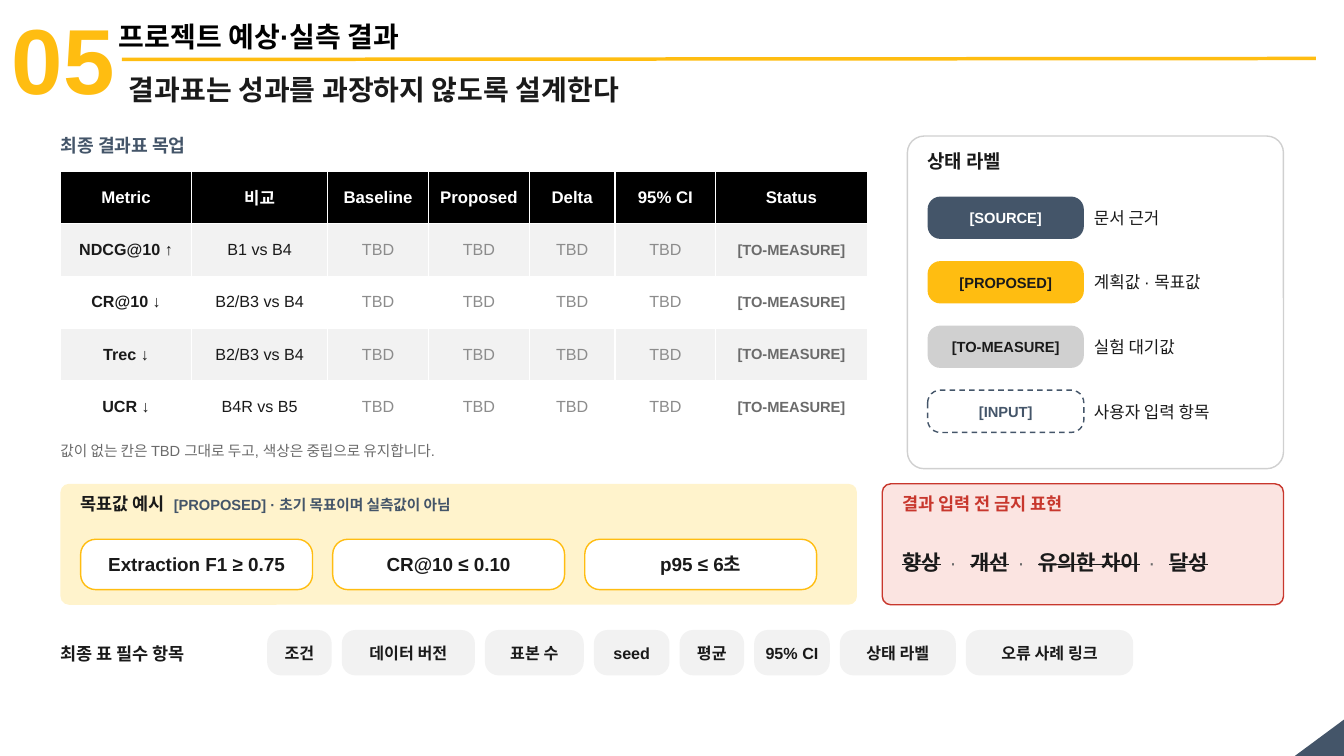
import lxml.etree
import pptx
import pptx.dml.color
import pptx.enum.dml
import pptx.enum.shapes
import pptx.enum.text
import pptx.oxml
import pptx.oxml.ns
import pptx.util

Inches = pptx.util.Inches
RGBColor = pptx.dml.color.RGBColor
SHAPES = pptx.enum.shapes.MSO_SHAPE
ANCHOR = pptx.enum.text.MSO_ANCHOR
ALIGN = pptx.enum.text.PP_ALIGN

YELLOW = RGBColor(0xFF, 0xBD, 0x11)
CREAM = RGBColor(0xFF, 0xF3, 0xCC)
SLATE = RGBColor(0x44, 0x55, 0x69)
RED = RGBColor(0xC8, 0x37, 0x2D)
PINK = RGBColor(0xFB, 0xE4, 0xE1)
BLACK = RGBColor(0x00, 0x00, 0x00)
INK = RGBColor(0x1A, 0x1A, 0x1A)
WHITE = RGBColor(0xFF, 0xFF, 0xFF)
PALE = RGBColor(0xF2, 0xF2, 0xF2)
SILVER = RGBColor(0xD0, 0xD0, 0xD0)
GRAY = RGBColor(0x6B, 0x6B, 0x6B)
MUTED = RGBColor(0x8C, 0x8C, 0x8C)

LABEL_INSETS = (0, 0.03)
BADGE_INSETS = (0.04, 0.03)
HEADING_INSETS = (0.1, 0.05)

METRICS = [
    ("NDCG@10 ↑", "B1 vs B4"),
    ("CR@10 ↓", "B2/B3 vs B4"),
    ("Trec ↓", "B2/B3 vs B4"),
    ("UCR ↓", "B4R vs B5"),
]
STATUSES = [
    ("[SOURCE]", "문서 근거", SLATE, WHITE, None),
    ("[PROPOSED]", "계획값 · 목표값", YELLOW, INK, None),
    ("[TO-MEASURE]", "실험 대기값", SILVER, INK, None),
    ("[INPUT]", "사용자 입력 항목", WHITE, SLATE, SLATE),
]
TARGETS = ["Extraction F1 ≥ 0.75", "CR@10 ≤ 0.10", "p95 ≤ 6초"]
BANNED = ["향상", "개선", "유의한 차이", "달성"]
REQUIRED = [
    ("조건", 0.64), ("데이터 버전", 1.32), ("표본 수", 0.98), ("seed", 0.75),
    ("평균", 0.64), ("95% CI", 0.75), ("상태 라벨", 1.15), ("오류 사례 링크", 1.66),
]


def style(size, color=INK, bold=True, **extra):
    return {"name": "Arial", "size": pptx.util.Pt(size), "bold": bold, "color": color, **extra}


def add_span(para, text, look):
    """Adds a run; "strike" and "spc" go straight to its XML properties."""
    span = para.add_run()
    span.text = text
    for name, value in look.items():
        if name == "color":
            span.font.color.rgb = value
        elif name in ("strike", "spc"):
            span._r.get_or_add_rPr().set(name, value)
        else:
            setattr(span.font, name, value)


def fill_frame(frame, spans, insets, anchor=ANCHOR.TOP, align=ALIGN.LEFT):
    side, end = map(Inches, insets)
    settings = {
        "word_wrap": True, "vertical_anchor": anchor,
        "auto_size": pptx.enum.text.MSO_AUTO_SIZE.NONE,
        "margin_left": side, "margin_right": side, "margin_top": end, "margin_bottom": end,
    }
    for name, value in settings.items():
        setattr(frame, name, value)
    para = frame.paragraphs[0]
    para.alignment = align
    for text, look in spans:
        add_span(para, text, look)


def add_label(page, place, spans, insets=LABEL_INSETS, anchor=ANCHOR.TOP):
    box = page.shapes.add_textbox(*map(Inches, place))
    fill_frame(box.text_frame, spans, insets, anchor)


def add_panel(page, place, fill, line=None, rounding=0.3, kind=SHAPES.ROUNDED_RECTANGLE):
    panel = page.shapes.add_shape(kind, *map(Inches, place))
    panel.shadow.inherit = False
    panel.fill.solid()
    panel.fill.fore_color.rgb = fill
    if kind == SHAPES.ROUNDED_RECTANGLE:
        panel.adjustments[0] = rounding
    if line is None:
        panel.line.fill.background()
    else:
        panel.line.color.rgb = line
        panel.line.width = pptx.util.Pt(1)
    return panel


def add_badge(page, place, text, look, fill, line=None):
    badge = add_panel(page, place, fill, line)
    fill_frame(badge.text_frame, [(text, look)], BADGE_INSETS, ANCHOR.MIDDLE, ALIGN.CENTER)
    return badge


def add_rule(page, start, end):
    rule = page.shapes.add_connector(
        pptx.enum.shapes.MSO_CONNECTOR.STRAIGHT, *map(Inches, start + end))
    rule.line.color.rgb = YELLOW
    rule.line.width = pptx.util.Pt(2.5)
    lxml.etree.SubElement(rule._element.spPr, pptx.oxml.ns.qn("a:effectLst"))


def border_cell(cell):
    properties = cell._tc.get_or_add_tcPr()
    for position, side in enumerate(("lnL", "lnR", "lnT", "lnB")):
        properties.insert(position, pptx.oxml.parse_xml(
            f'<a:{side} {pptx.oxml.ns.nsdecls("a")} w="12700"><a:solidFill>'
            f'<a:srgbClr val="{WHITE}"/></a:solidFill></a:{side}>'))


def add_results_table(page):
    headers = ["Metric", "비교", "Baseline", "Proposed", "Delta", "95% CI", "Status"]
    widths = [1.3, 1.35, 1, 1, 0.85, 1, 1.5]
    rows = [headers] + [[*metric, *["TBD"] * 4, "[TO-MEASURE]"] for metric in METRICS]
    body_looks = [style(11.5), style(11.5, bold=False),
                  *[style(11.5, MUTED, False)] * 4, style(10.5, GRAY)]
    table = page.shapes.add_table(
        len(rows), len(headers), *map(Inches, (0.6, 1.7, 8, 2.6))).table
    for column, width in zip(table.columns, widths):
        column.width = Inches(width)
    for index, texts in enumerate(rows):
        table.rows[index].height = Inches(0.52)
        looks = body_looks if index else [style(12, WHITE)] * len(headers)
        fill = (PALE if index % 2 else WHITE) if index else BLACK
        for cell, text, look in zip(table.rows[index].cells, texts, looks):
            cell.fill.solid()
            cell.fill.fore_color.rgb = fill
            cell.vertical_anchor = ANCHOR.MIDDLE
            para = cell.text_frame.paragraphs[0]
            para.alignment = ALIGN.CENTER
            add_span(para, text, look)
            border_cell(cell)


def add_heading(page):
    corner = add_panel(page, (12.9, 7.07, 0.37, 0.5), SLATE, kind=SHAPES.RIGHT_TRIANGLE)
    corner.rotation = 270
    add_label(page, (0.02, -0.03, 1.27, 1.21), [("05", style(66, YELLOW))], HEADING_INSETS)
    title = page.shapes.title
    title.left, title.top, title.width, title.height = map(Inches, (1.08, 0.14, 7, 0.44))
    fill_frame(title.text_frame, [("프로젝트 예상·실측 결과", style(20, BLACK))], HEADING_INSETS)
    add_rule(page, (1.21, 0.59), (13.05, 0.58))
    add_label(page, (1.18, 0.67, 11.9, 0.34),
              [("결과표는 성과를 과장하지 않도록 설계한다", style(20))], HEADING_INSETS)


def add_status_legend(page):
    add_panel(page, (9, 1.35, 3.73, 3.3), WHITE, SILVER, 0.05)
    add_label(page, (9.2, 1.45, 3.4, 0.35), [("상태 라벨", style(13.5))])
    for index, (tag, meaning, fill, color, line) in enumerate(STATUSES):
        top = 1.95 + 0.64 * index
        badge = add_badge(page, (9.2, top, 1.55, 0.42), tag, style(10.5, color), fill, line)
        if line is not None:
            badge.line.dash_style = pptx.enum.dml.MSO_LINE.DASH
        add_label(page, (10.85, top, 1.8, 0.42), [(meaning, style(12, bold=False))],
                  anchor=ANCHOR.MIDDLE)


def add_targets(page):
    add_panel(page, (0.6, 4.8, 7.9, 1.2), CREAM, rounding=0.07)
    add_label(page, (0.8, 4.86, 7.5, 0.35), [
        ("목표값 예시", style(12.5)), (" ", style(12.5, spc="350")),
        ("[PROPOSED] · 초기 목표이며 실측값이 아님", style(10.5, SLATE))])
    for index, target in enumerate(TARGETS):
        add_badge(page, (0.8 + 2.5 * index, 5.35, 2.3, 0.5), target, style(13.5), WHITE, YELLOW)


def add_banned_words(page):
    add_panel(page, (8.75, 4.8, 3.98, 1.2), PINK, RED, 0.07)
    add_label(page, (8.95, 4.86, 3.6, 0.35), [("결과 입력 전 금지 표현", style(12.5, RED))])
    spans = []
    for word in BANNED:
        if spans:
            spans.append((" · ", style(15, GRAY, False, spc="280")))
        spans.append((word, style(15, strike="sngStrike")))
    add_label(page, (8.95, 5.3, 3.65, 0.55), spans, anchor=ANCHOR.MIDDLE)


def add_required_items(page):
    add_label(page, (0.6, 6.18, 2.4, 0.6), [("최종 표 필수 항목", style(12.5))],
              anchor=ANCHOR.MIDDLE)
    left = 2.65
    for item, width in REQUIRED:
        add_badge(page, (left, 6.25, width, 0.45), item, style(11.5), PALE)
        left += width + 0.1


def main():
    deck = pptx.Presentation()
    deck.slide_width, deck.slide_height = Inches(13.33), Inches(7.5)
    page = deck.slides.add_slide(deck.slide_layouts[5])
    add_heading(page)
    add_label(page, (0.6, 1.3, 8, 0.35), [("최종 결과표 목업", style(13, SLATE))])
    add_results_table(page)
    add_label(page, (0.6, 4.35, 8, 0.3), [
        ("값이 없는 칸은 TBD 그대로 두고, 색상은 중립으로 유지합니다.", style(10.5, GRAY, False))])
    add_status_legend(page)
    add_targets(page)
    add_banned_words(page)
    add_required_items(page)
    deck.save("out.pptx")


if __name__ == "__main__":
    main()
